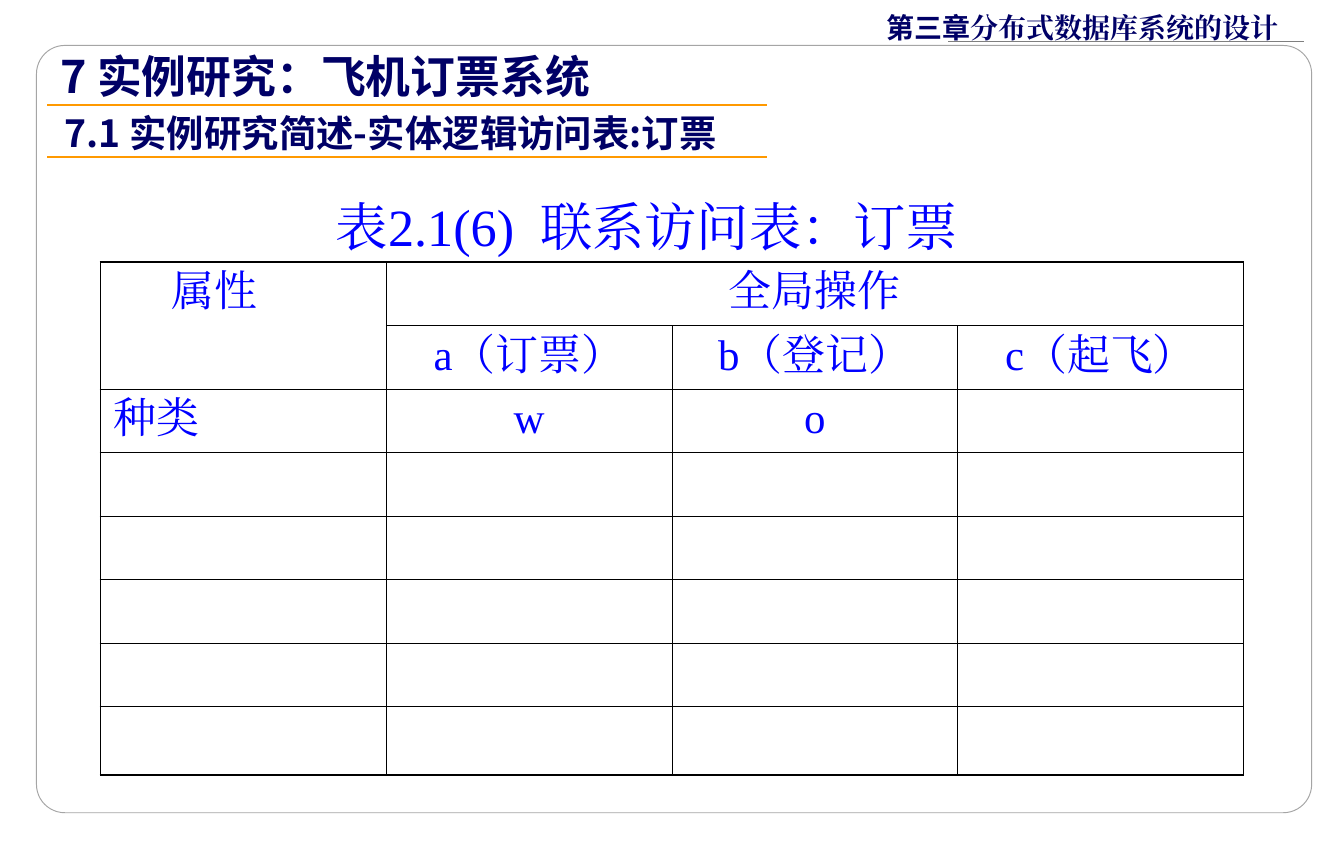
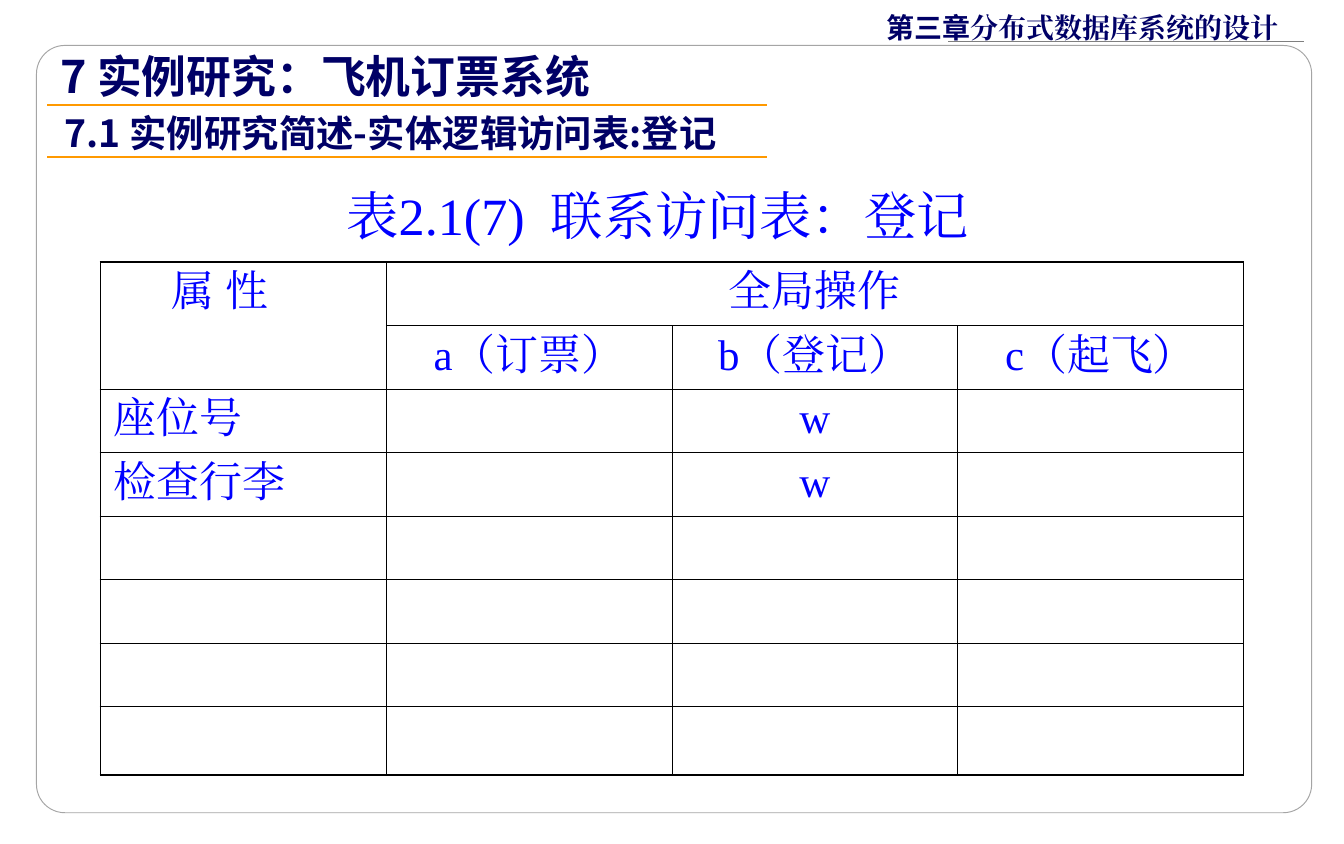
"""Build two slides with relation access tables for an airline booking case."""
from lxml import etree
from pptx import Presentation
from pptx.dml.color import RGBColor
from pptx.enum import shapes, text
from pptx.oxml import ns
from pptx.util import Cm, Pt

NAVY = RGBColor(0x00, 0x00, 0x66)
BLUE = RGBColor(0x00, 0x00, 0xFF)
GOLD = RGBColor(0xFF, 0x99, 0x00)
GREY = RGBColor(0x7F, 0x7F, 0x7F)
SILVER = RGBColor(0xA5, 0xA5, 0xA5)
BLACK = RGBColor(0x00, 0x00, 0x00)
WHITE = RGBColor(0xFF, 0xFF, 0xFF)
SANS, SERIF = "Noto Sans CJK SC", "Times New Roman"
LEFT, MID = text.PP_ALIGN.LEFT, text.PP_ALIGN.CENTER

CHAPTER = (("第三章", SANS), ("分布式数据库系统的设计", SERIF))
TITLE = "7 实例研究：飞机订票系统"
HEAD = "全局操作"
OPS = ["a（订票）", "b（登记）", "c（起飞）"]
PAGES = [
    {"sub": "7.1 实例研究简述-实体逻辑访问表:订票",
     "caption": "表2.1(6)  联系访问表：订票", "box": (6.1, 3.68, 15, 1.32),
     "corner": "属性", "rows": [["种类", "w", "o", ""]]},
    {"sub": "7.1 实例研究简述-实体逻辑访问表:登记",
     "caption": "表2.1(7)  联系访问表：登记", "box": (6.3, 3.48, 15.6, 1.32),
     "corner": "属 性", "rows": [["座位号", "", "w", ""], ["检查行李", "", "w", ""]]},
]
ROWS, COLS = 8, 4
COL_W, ROW_H, LAST_H = 5.4, 1.2, 1.3
THIN, THICK = 0.45, 1.08


def node(parent, tag, **attrs):
    item = etree.SubElement(parent, ns.qn(tag))
    for key, val in attrs.items():
        item.set(key, str(val))
    return item


def write(frame, *runs, size=23, color=BLUE, bold=False, align=LEFT, space=None):
    para = frame.paragraphs[0]
    para.alignment, para.space_before = align, Pt(0)
    if space:
        para.line_spacing = space
    for words, face in runs:
        run = para.add_run()
        run.text = words
        font = run.font
        font.name, font.size, font.bold = face, Pt(size), bold
        font.color.rgb = color
        node(font._element, "a:ea", typeface=face)
    return para


def place(shape, box):
    shape.left, shape.top, shape.width, shape.height = map(Cm, box)
    frame = shape.text_frame
    frame.word_wrap = True
    frame.auto_size = text.MSO_AUTO_SIZE.NONE
    frame.vertical_anchor = text.MSO_ANCHOR.TOP
    return frame


def label(slide, box, *runs, **style):
    shape = slide.shapes.add_textbox(0, 0, 0, 0)
    write(place(shape, box), *runs, **style)


def rule(slide, start, end, y, color, width):
    line = slide.shapes.add_connector(
        shapes.MSO_CONNECTOR.STRAIGHT, Cm(start), Cm(y), Cm(end), Cm(y))
    line.line.color.rgb, line.line.width = color, Pt(width)
    node(line._element.spPr, "a:effectLst")


def panel(slide):
    card = slide.shapes.add_shape(
        shapes.MSO_SHAPE.ROUNDED_RECTANGLE, Cm(0.69), Cm(0.86), Cm(24.1), Cm(14.5))
    card.adjustments[0] = 0.037
    card.shadow.inherit = False
    card.fill.solid()
    card.fill.fore_color.rgb = WHITE
    tint = card._element.spPr.find(".//" + ns.qn("a:srgbClr"))
    node(tint, "a:alpha", val=85000)
    card.line.color.rgb, card.line.width = SILVER, Pt(0.5)
    slide.shapes.title._element.addprevious(card._element)


def border(cell, row, col):
    props = cell._tc.get_or_add_tcPr()
    right = col + (cell.span_width if cell.is_merge_origin else 1)
    outer = {"L": col == 0, "R": right == COLS, "T": row == 0, "B": row == ROWS - 1}
    for side, edge in outer.items():
        line = node(props, "a:ln" + side, w=Pt(THICK if edge else THIN))
        node(node(line, "a:solidFill"), "a:srgbClr", val=BLACK)
    cell.fill.background()


def grid(slide, page):
    table = slide.shapes.add_table(
        ROWS, COLS, Cm(1.9), Cm(4.95), Cm(COLS * COL_W),
        Cm((ROWS - 1) * ROW_H + LAST_H)).table
    table.first_row = table.horz_banding = False
    for col in table.columns:
        col.width = Cm(COL_W)
    for num, row in enumerate(table.rows):
        row.height = Cm(LAST_H if num == ROWS - 1 else ROW_H)
    table.cell(0, 0).merge(table.cell(1, 0))
    table.cell(0, 1).merge(table.cell(0, COLS - 1))
    data = [[page["corner"], HEAD], ["", *OPS], *page["rows"]]
    for row in range(ROWS):
        for col in range(COLS):
            border(table.cell(row, col), row, col)
    for row, line in enumerate(data):
        for col, words in enumerate(line):
            if words:
                write(table.cell(row, col).text_frame, (words, SERIF),
                      align=MID if col else LEFT)
    table.cell(0, 0).margin_left = Cm(1.35)


def build(deck, page):
    slide = deck.slides.add_slide(deck.slide_layouts[1])
    panel(slide)
    label(slide, (16.51, 0.08, 8, 0.86), *CHAPTER, size=15, color=NAVY, bold=True)
    rule(slide, 24.64, 17.91, 0.79, GREY, 0.75)
    grid(slide, page)
    label(slide, page["box"], (page["caption"], SERIF), size=28, space=0.9)
    for y in (1.98, 2.97):
        rule(slide, 0.89, 14.5, y, GOLD, 1)
    frame = place(slide.shapes.title, (0.89, 0.79, 12.7, 1.27))
    write(frame, (TITLE, SANS), size=24, color=NAVY, bold=True)
    frame = place(slide.placeholders[1], (0.97, 1.96, 14.73, 1.12))
    para = write(frame, (page["sub"], SANS), size=20, color=NAVY, bold=True)
    props = para._p.get_or_add_pPr()
    props.set("marL", "0")
    props.set("indent", "0")
    node(props, "a:buNone")


def main():
    deck = Presentation()
    deck.slide_width, deck.slide_height = Cm(25.4), Cm(15.95)
    for page in PAGES:
        build(deck, page)
    deck.save("out.pptx")


if __name__ == "__main__":
    main()
